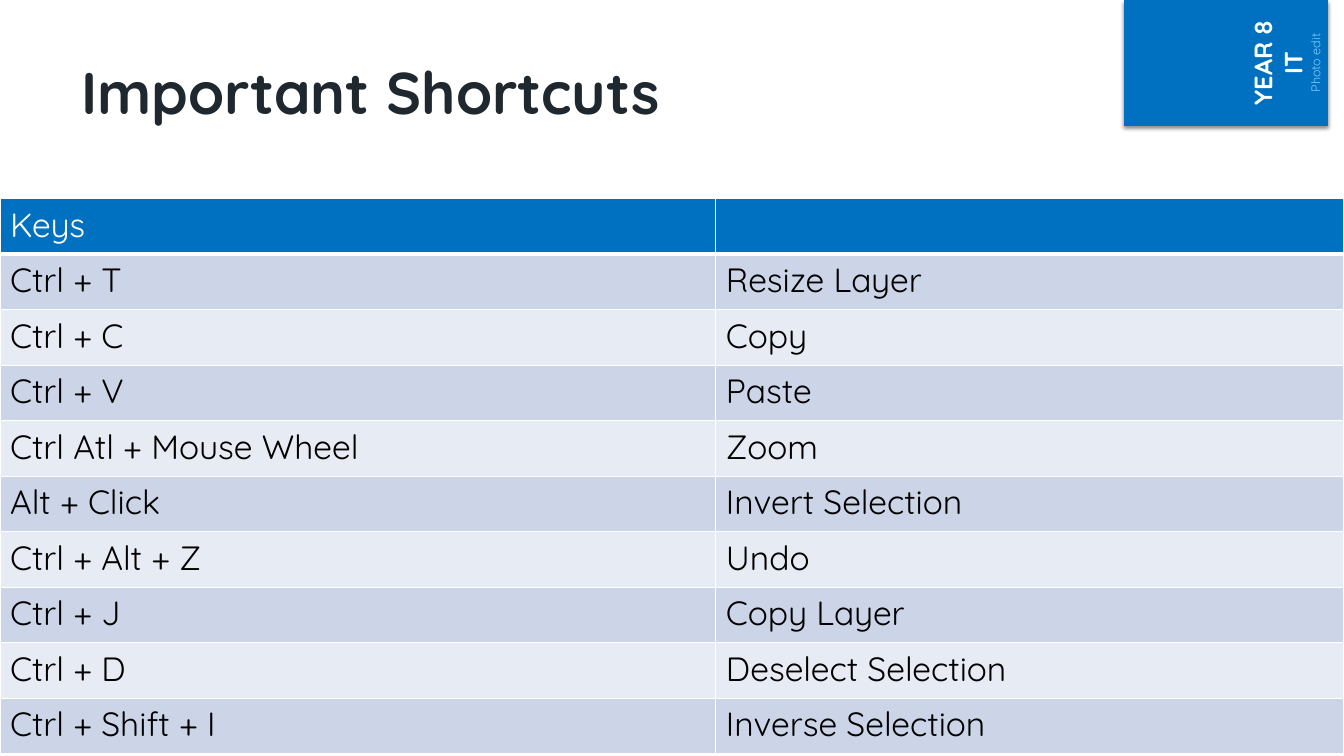
from lxml import etree
from pptx import Presentation
from pptx.dml.color import RGBColor
from pptx.enum import shapes, text
from pptx.oxml import parse_xml
from pptx.oxml.ns import nsdecls, qn
from pptx.util import Inches, Pt

FONT = "Quicksand"
BLUE, WHITE, BLACK = "0070C0", "FFFFFF", "000000"
BANDS = ("CCD5E8", "E7EBF4")
SHORTCUTS = [
    ("Keys", ""),
    ("Ctrl + T", "Resize Layer"),
    ("Ctrl + C", "Copy"),
    ("Ctrl + V", "Paste"),
    ("Ctrl Atl + Mouse Wheel", "Zoom"),
    ("Alt + Click", "Invert Selection"),
    ("Ctrl + Alt + Z", "Undo"),
    ("Ctrl + J", "Copy Layer"),
    ("Ctrl + D", "Deselect Selection"),
    ("Ctrl + Shift + I", "Inverse Selection"),
]


def rgb(color):
    return RGBColor.from_string(color)


def write(p, words, size, color, bold=False):
    p.text = words
    p.font.name = FONT
    p.font.size = Pt(size)
    p.font.bold = bold
    p.font.color.rgb = rgb(color)


def add_title(slide, left, top, width, height):
    tf = slide.shapes.add_textbox(
        Inches(left), Inches(top), Inches(width), Inches(height)).text_frame
    tf.word_wrap = True
    write(tf.paragraphs[0], "Important Shortcuts", 42, "1F282E", bold=True)


def add_course_tag(slide, left, top, width, height):
    # Blue panel with a soft shadow below
    sp = slide.shapes.add_shape(
        shapes.MSO_SHAPE.RECTANGLE,
        Inches(left), Inches(top), Inches(width), Inches(height))
    sp.fill.solid()
    sp.fill.fore_color.rgb = rgb(BLUE)
    sp.line.fill.background()
    sp.shadow.inherit = False
    effects = sp._element.spPr.find(qn("a:effectLst"))
    effects.append(parse_xml(
        f'<a:outerShdw {nsdecls("a")} blurRad="{Pt(3)}" dist="{Pt(2)}" '
        'dir="5400000" algn="t" rotWithShape="0">'
        '<a:srgbClr val="000000"><a:alpha val="45000"/></a:srgbClr>'
        '</a:outerShdw>'))

    # Text turned upwards along the panel's right edge
    strip = 0.66
    tf = slide.shapes.add_textbox(
        Inches(left + width - strip), Inches(top),
        Inches(strip), Inches(height)).text_frame
    tf.word_wrap = True
    tf.auto_size = text.MSO_AUTO_SIZE.SHAPE_TO_FIT_TEXT
    tf.vertical_anchor = text.MSO_ANCHOR.BOTTOM
    tf._txBody.bodyPr.set("vert", "vert270")
    write(tf.paragraphs[0], "YEAR 8 IT", 18, WHITE, bold=True)
    write(tf.add_paragraph(), "Photo edit", 9, "80CAFF")
    for p in tf.paragraphs:
        p.alignment = text.PP_ALIGN.CENTER


def set_borders(cell, bottom):
    tcPr = cell._tc.get_or_add_tcPr()
    for i, (side, points) in enumerate(
            (("L", 1), ("R", 1), ("T", 1), ("B", bottom))):
        ln = etree.Element(qn(f"a:ln{side}"), w=str(Pt(points)))
        fill = etree.SubElement(ln, qn("a:solidFill"))
        etree.SubElement(fill, qn("a:srgbClr"), val=WHITE)
        tcPr.insert(i, ln)


def add_shortcut_table(slide, left, top, width, height):
    table = slide.shapes.add_table(
        len(SHORTCUTS), 2, Inches(left), Inches(top),
        Inches(width), Inches(height)).table
    keys_width = 7.1
    table.columns[0].width = Inches(keys_width)
    table.columns[1].width = Inches(width - keys_width)
    for i, row in enumerate(SHORTCUTS):
        header = i == 0
        for j, words in enumerate(row):
            cell = table.cell(i, j)
            write(cell.text_frame.paragraphs[0], words, 24,
                  WHITE if header else BLACK)
            cell.fill.solid()
            cell.fill.fore_color.rgb = rgb(
                BLUE if header else BANDS[(i - 1) % 2])
            set_borders(cell, bottom=3 if header else 1)


def main():
    prs = Presentation()
    prs.slide_width, prs.slide_height = Inches(13.33), Inches(7.5)
    slide = prs.slides.add_slide(prs.slide_layouts[6])
    add_course_tag(slide, 11.15, 0, 2.02, 1.25)
    add_title(slide, 0.71, 0.5, 10.29, 1.53)
    add_shortcut_table(slide, 0, 1.97, 13.33, 5.51)
    prs.save("out.pptx")


if __name__ == "__main__":
    main()
